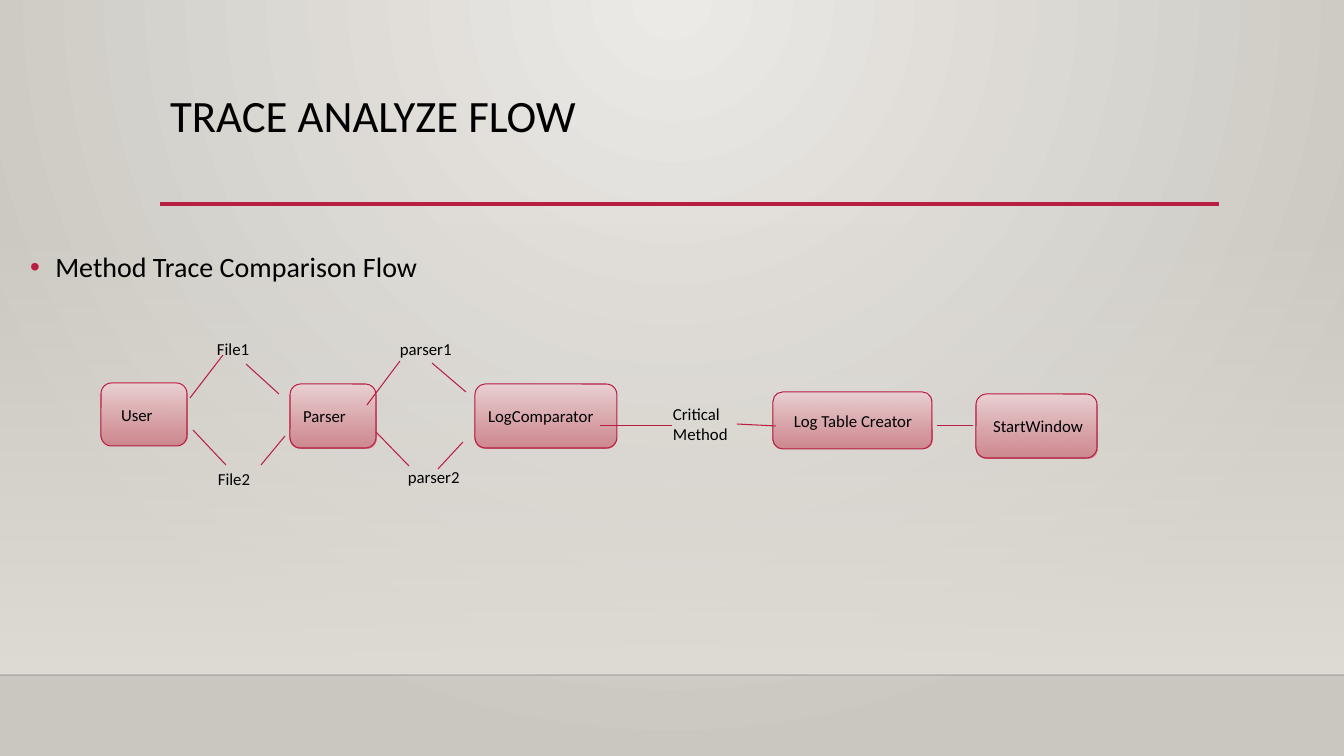
from lxml.etree import SubElement
from pptx import Presentation
from pptx.dml.color import RGBColor
from pptx.enum.shapes import MSO_CONNECTOR as CONN, MSO_SHAPE as SHAPE
from pptx.enum.text import MSO_ANCHOR as ANCHOR, MSO_AUTO_SIZE as AUTO, PP_ALIGN as ALIGN
from pptx.oxml import parse_xml
from pptx.oxml.ns import nsdecls, qn
from pptx.util import Pt

PX = 914400 / 100.8
CRIMSON = RGBColor(0xB7, 0x1E, 0x42)
BLACK = RGBColor(0, 0, 0)
FLOOR_EDGE = RGBColor(0, 0, 1)
PANEL = RGBColor(0xDF, 0xDB, 0xD5)
BACK_LIGHT = RGBColor(0xEC, 0xEA, 0xE7)
BACK_DARK = RGBColor(0xCA, 0xC7, 0xC1)
NODE_TOP = RGBColor(0xEA, 0xD1, 0xD3)
NODE_BOTTOM = RGBColor(0xCD, 0x82, 0x8A)

NODES = [
    ("User", 0, 49, 86, 63, 17),
    ("Parser", 189, 50, 86, 64, 10),
    ("LogComparator", 374, 50, 142, 64, 10),
    ("Log Table Creator", 672, 58, 159, 57, 18),
    ("StartWindow", 875, 60, 121, 64, 14),
]
LABELS = [
    ("File1", 106, 0, 80, 30),
    ("File2", 107, 130, 80, 30),
    ("parser1", 289, 0, 80, 30),
    ("parser2", 297, 128, 80, 30),
    ("Critical Method", 562, 65, 106, 50),
]
LINKS = [
    (89, 64, 122, 21), (145, 30, 178, 60),
    (92, 96, 125, 131), (184, 102, 160, 131),
    (266, 71, 299, 27), (331, 29, 365, 58),
    (275, 98, 308, 132), (362, 108, 337, 135),
    (499, 92, 571, 92), (636, 90, 675, 92), (836, 92, 872, 92),
]


def emu(*lengths):
    """Turn pixel lengths into EMU."""
    return [round(n * PX) for n in lengths]


def assign(target, formats):
    """Set every attribute in a dict of format values."""
    for name, value in formats.items():
        setattr(target, name, value)


def set_alpha(color, percent):
    """Give a colour element an opacity."""
    SubElement(color, qn("a:alpha"), val=str(percent * 1000))


def fill_down(sp, colors, alphas):
    """Fill a shape with a gradient running from top to bottom."""
    sp.fill.gradient()
    sp.fill.gradient_angle = 270
    for stop, color in zip(sp.fill.gradient_stops, colors):
        stop.color.rgb = color
    for color, alpha in zip(sp.element.xpath("./p:spPr//a:gs/a:srgbClr"), alphas):
        set_alpha(color, alpha)


def write(tf, text, size, frame=None, para=None):
    """Write one left-aligned paragraph."""
    assign(tf, {"word_wrap": True, "vertical_anchor": ANCHOR.TOP, **(frame or {})})
    p = tf.paragraphs[0]
    assign(p, {"alignment": ALIGN.LEFT, **(para or {})})
    r = p.add_run()
    r.text = text
    assign(r.font, {"name": "Calibri", "size": Pt(size)})
    r.font.color.rgb = BLACK
    return p


def add_line(s, x1, y1, x2, y2, color=CRIMSON, width=0.75):
    """Draw a straight line without a shadow."""
    line = s.shapes.add_connector(CONN.STRAIGHT, *emu(x1, y1, x2, y2))
    line.line.color.rgb = color
    line.line.width = Pt(width)
    SubElement(line.element.spPr, qn("a:effectLst"))
    return line


def add_backdrop(s, left, top, width, height):
    """Lay the radial background, the pale panel and the floor edge."""
    fill = s.background.fill
    fill.gradient()
    for stop, color in zip(fill.gradient_stops, (BACK_LIGHT, BACK_DARK)):
        stop.color.rgb = color
    lin = s.element.xpath(".//p:bgPr//a:lin")[0]
    lin.getparent().replace(lin, parse_xml(
        f'<a:path {nsdecls("a")} path="circle">'
        '<a:fillToRect l="43000" r="43000" b="100000"/></a:path>'))
    panel = s.shapes.add_shape(SHAPE.RECTANGLE, *emu(left, top, width, height))
    panel.shadow.inherit = False
    panel.line.fill.background()
    fill_down(panel, (PANEL, PANEL), (0, 100))
    floor = top + height
    edge = add_line(s, left, floor, left + width, floor, FLOOR_EDGE, 1)
    set_alpha(edge.element.xpath(".//a:ln//a:srgbClr")[0], 20)
    for sp in (panel, edge):
        s.shapes.title.element.addprevious(sp.element)


def add_title(s, left, top, width, height):
    """Place the title above its rule."""
    title = s.shapes.title
    assign(title, dict(zip(("left", "top", "width", "height"), emu(left, top, width, height))))
    write(title.text_frame, "TRACE ANALYZE FLOW", 32,
          {"auto_size": AUTO.NONE}, {"line_spacing": 0.9})
    rule = top + height - 1
    add_line(s, left, rule, left + width, rule, width=2.5)


def add_body(s, left, top, width, height):
    """Place the bulleted heading of the flow."""
    body = s.placeholders[1]
    assign(body, dict(zip(("left", "top", "width", "height"), emu(left, top, width, height))))
    p = write(body.text_frame, "Method Trace Comparison Flow", 20,
              {"auto_size": AUTO.NONE}, {"line_spacing": 1.2, "space_before": Pt(10)})
    pPr = p._p.get_or_add_pPr()
    pPr.set("marL", "228600")
    pPr.set("indent", "-228600")
    color = SubElement(pPr, qn("a:buClr"))
    SubElement(color, qn("a:srgbClr"), val=str(CRIMSON))
    SubElement(pPr, qn("a:buFont"), typeface="Arial")
    SubElement(pPr, qn("a:buChar"), char="•")


def add_flow(s, left, top):
    """Draw the nodes, labels and links of the trace flow."""
    for text, x, y, w, h, inset in NODES:
        sp = s.shapes.add_shape(SHAPE.ROUNDED_RECTANGLE, *emu(left + x, top + y, w, h))
        sp.shadow.inherit = False
        fill_down(sp, (NODE_TOP, NODE_BOTTOM), (100, 92))
        sp.line.color.rgb = CRIMSON
        sp.line.width = Pt(0.75)
        write(sp.text_frame, text, 12, {"vertical_anchor": ANCHOR.MIDDLE,
                                        "margin_left": emu(inset)[0], "margin_right": 0})
    for text, x, y, w, h in LABELS:
        sp = s.shapes.add_textbox(*emu(left + x, top + y, w, h))
        write(sp.text_frame, text, 12)
    for x1, y1, x2, y2 in LINKS:
        add_line(s, left + x1, top + y1, left + x2, top + y2)


prs = Presentation()
prs.slide_width, prs.slide_height = emu(1344, 756)
s = prs.slides.add_slide(prs.slide_layouts[1])
add_backdrop(s, 0, 223, 1344, 452)
add_title(s, 160, 89, 1059, 116)
add_body(s, 20, 238, 916, 429)
add_flow(s, 101, 334)
prs.save("out.pptx")
